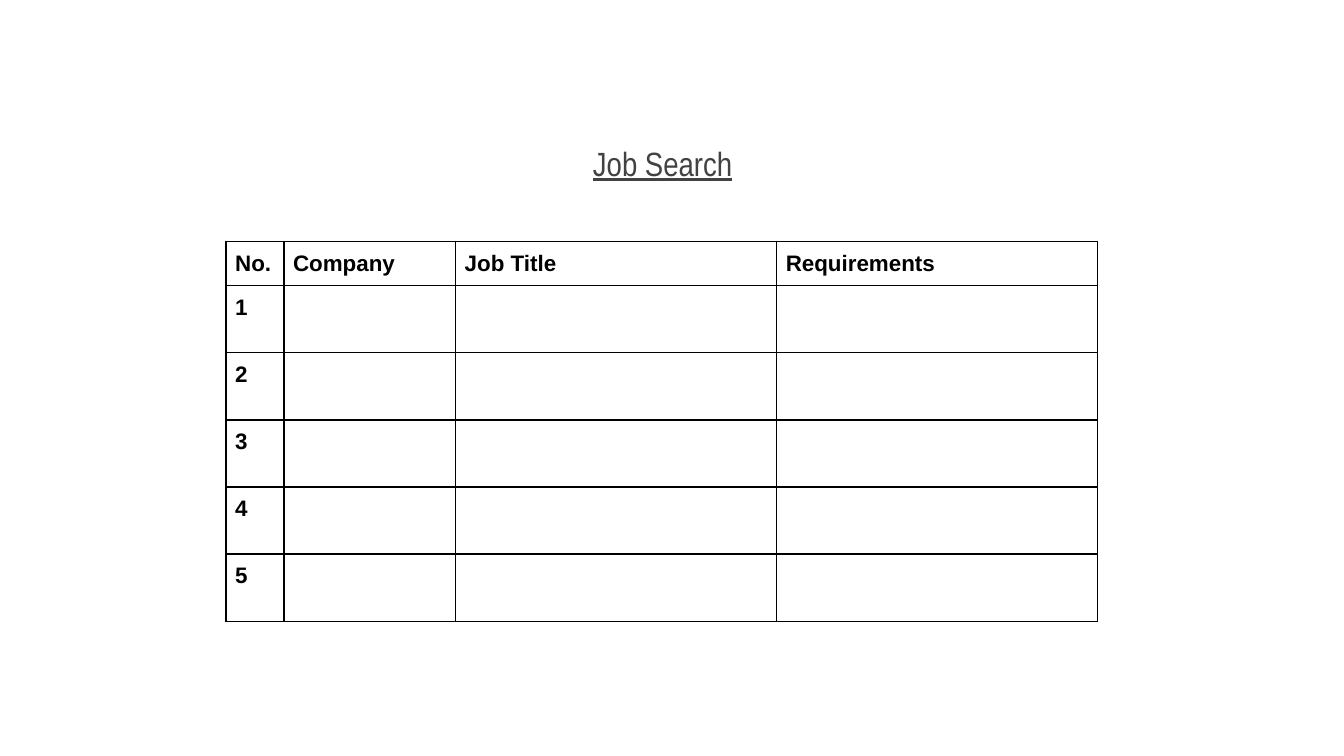
"""Build a job search slide with a blank table to fill in."""
from lxml.etree import SubElement
from pptx import Presentation
from pptx.dml.color import RGBColor
from pptx.enum.text import MSO_ANCHOR, MSO_AUTO_SIZE, PP_ALIGN
from pptx.oxml.ns import qn
from pptx.util import Pt

COLORS = {"background": "FFFFFF", "title": "424242", "text": "000000", "border": "000000"}
HEADERS = ["No.", "Company", "Job Title", "Requirements"]
COLUMN_WIDTHS = [31, 92, 172, 172]
ENTRY_COUNT = 5
HEADER_HEIGHT = 23.6
ENTRY_HEIGHT = 36
CELL_MARGIN = 5
TITLE_MARGIN = 7.2


def add_run(paragraph, text, size, font_name, color, bold=False, underline=False):
    run = paragraph.add_run()
    run.text = text
    font = run.font
    font.size = Pt(size)
    font.name = font_name
    font.bold = bold
    font.underline = underline
    font.color.rgb = RGBColor.from_string(COLORS[color])


def set_margins(target, margin):
    for side in ("left", "top", "right", "bottom"):
        setattr(target, f"margin_{side}", Pt(margin))


def add_title(slide, text):
    title = slide.shapes.title
    title.left, title.top, title.width, title.height = Pt(258.5), Pt(54), Pt(193), Pt(67)
    frame = title.text_frame
    frame.word_wrap = True
    frame.auto_size = MSO_AUTO_SIZE.NONE
    frame.vertical_anchor = MSO_ANCHOR.MIDDLE
    set_margins(frame, TITLE_MARGIN)
    paragraph = frame.paragraphs[0]
    paragraph.alignment = PP_ALIGN.CENTER
    add_run(paragraph, text, 18, "Arial Narrow", "title", underline=True)


def set_borders(cell, color, width):
    properties = cell._tc.get_or_add_tcPr()
    for side in ("lnL", "lnR", "lnT", "lnB"):
        line = SubElement(properties, qn(f"a:{side}"), w=str(Pt(width)))
        fill = SubElement(line, qn("a:solidFill"))
        SubElement(fill, qn("a:srgbClr"), val=COLORS[color])


def format_cell(cell, text):
    set_borders(cell, "border", 1)
    cell.fill.solid()
    cell.fill.fore_color.rgb = RGBColor.from_string(COLORS["background"])
    set_margins(cell, CELL_MARGIN)
    if text:
        add_run(cell.text_frame.paragraphs[0], text, 12, "Arial", "text", bold=True)


def add_job_table(slide):
    blanks = [""] * (len(HEADERS) - 1)
    rows = [HEADERS] + [[str(number), *blanks] for number in range(1, ENTRY_COUNT + 1)]
    heights = [HEADER_HEIGHT] + [ENTRY_HEIGHT] * ENTRY_COUNT
    shape = slide.shapes.add_table(
        len(rows), len(HEADERS), Pt(121), Pt(129.3), Pt(sum(COLUMN_WIDTHS)), Pt(sum(heights))
    )
    table = shape.table
    for column, width in zip(table.columns, COLUMN_WIDTHS):
        column.width = Pt(width)
    for row, height, texts in zip(table.rows, heights, rows):
        row.height = Pt(height)
        for cell, text in zip(row.cells, texts):
            format_cell(cell, text)


def main():
    presentation = Presentation()
    presentation.slide_width = Pt(720)
    presentation.slide_height = Pt(405)
    slide = presentation.slides.add_slide(presentation.slide_layouts[5])
    add_title(slide, "Job Search")
    add_job_table(slide)
    presentation.save("out.pptx")


if __name__ == "__main__":
    main()
